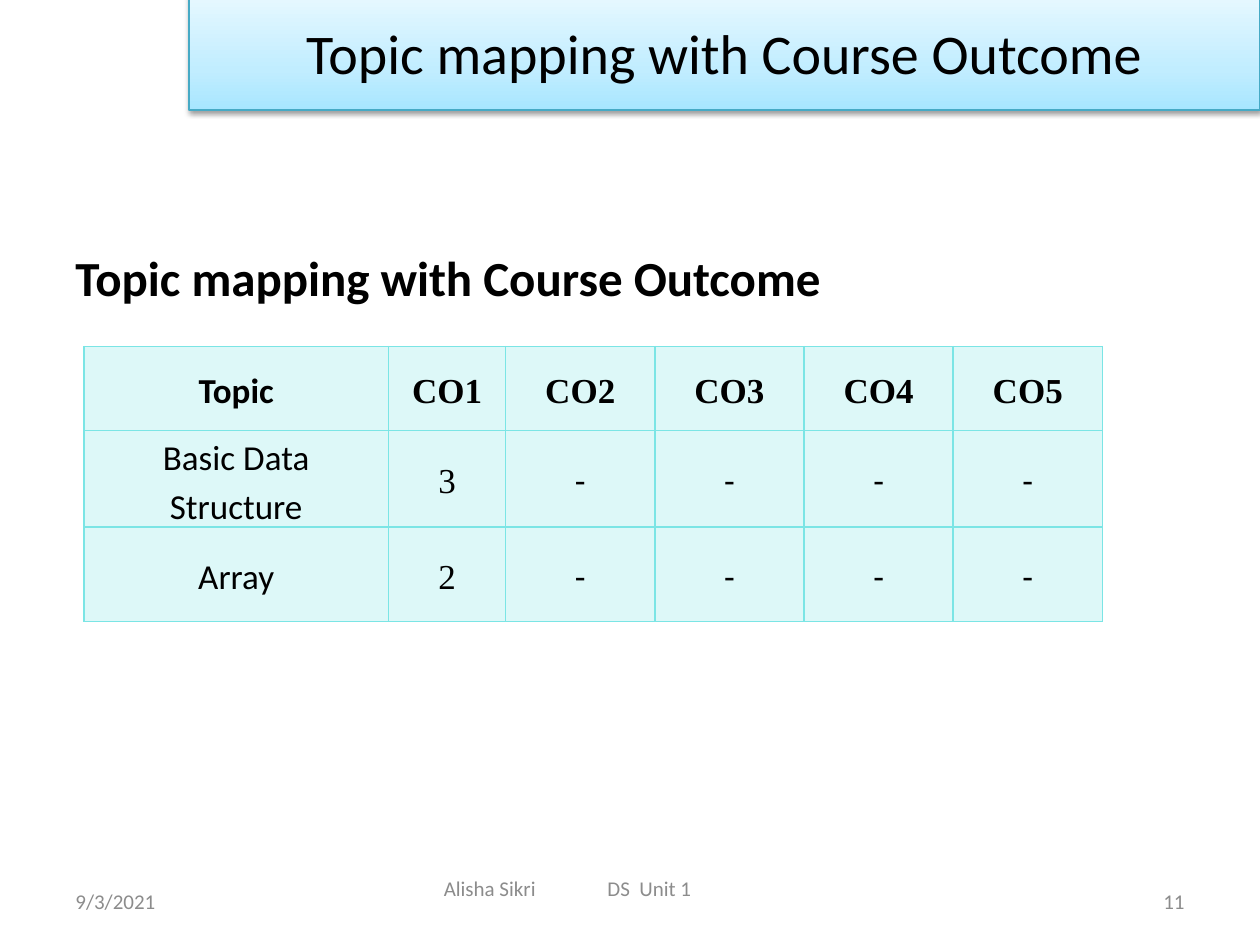
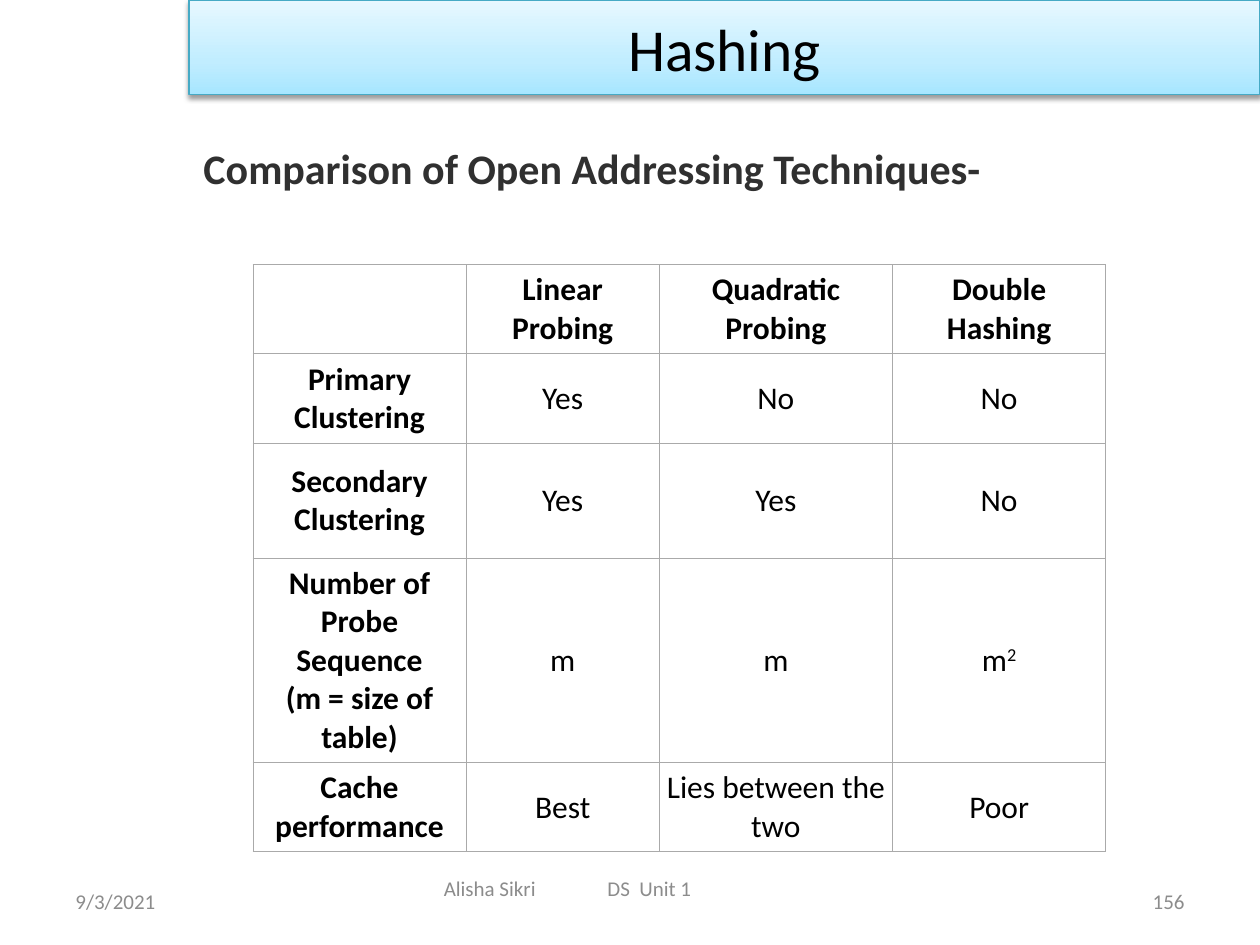
from dataclasses import dataclass
from typing import Callable

from lxml.etree import SubElement as Sub
from pptx import Presentation
from pptx.dml.color import RGBColor as Rgb
from pptx.enum.shapes import MSO_SHAPE as Kind
from pptx.enum.text import MSO_ANCHOR as Anchor, PP_ALIGN as Align
from pptx.oxml.ns import qn
from pptx.util import Pt


# Theme: colours, fonts and type sizes
@dataclass(frozen=True)
class Theme:
    ink: str = "000000"
    soft: str = "303030"
    grey: str = "8C8C8C"
    edge: str = "46AAC5"
    aqua: str = "7BE5E5"
    rule: str = "AAAAAA"
    white: str = "FFFFFF"
    fade: tuple = ((0, "A7E6FF"), (35, "C1EDFF"), (100, "E7F8FF"))
    sans: str = "Calibri"
    serif: str = "Times New Roman"
    small: float = 12
    body: float = 18
    cell: float = 20
    sub: float = 24
    head: float = 28
    title: float = 32
    large: float = 34


T = Theme()
Test = Callable[[int, int], bool]


@dataclass(frozen=True)
class Box:
    left: float
    top: float
    width: float
    height: float

    def pts(self) -> tuple:
        return Pt(self.left), Pt(self.top), Pt(self.width), Pt(self.height)


@dataclass(frozen=True)
class Type:
    size: float
    color: str = T.ink
    bold: bool = False
    face: str = T.sans
    align: Align = Align.CENTER


@dataclass(frozen=True)
class Grid:
    left: float
    top: float
    cols: list
    rows: list
    cells: list
    size: float
    line: str
    weight: float
    fill: str
    alpha: int
    pad: tuple  # side, top and bottom
    space: float
    after: float  # below each value
    bold: Test
    serif: Test


def style(para, look: Type) -> None:
    para.alignment = look.align
    font = para.font
    font.name, font.size, font.bold = look.face, Pt(look.size), look.bold
    font.color.rgb = Rgb.from_string(look.color)


def text(slide, box: Box, words: str, look: Type, tab: float = 0) -> None:
    frame = slide.shapes.add_textbox(*box.pts()).text_frame
    frame.word_wrap = True
    frame.vertical_anchor = Anchor.MIDDLE
    para = frame.paragraphs[0]
    para.text = words
    if tab:
        stops = Sub(para._p.get_or_add_pPr(), qn("a:tabLst"))
        Sub(stops, qn("a:tab"), pos=str(Pt(tab)), algn="l")
    style(para, look)


# Title band with gradient and soft shadow
def band(slide, top: float, height: float, words: str, size: float) -> None:
    shape = slide.shapes.add_shape(Kind.RECTANGLE, *Box(108, top, 612, height).pts())
    shape.fill.gradient()
    grad = shape._element.spPr.find(qn("a:gradFill"))
    for part in list(grad):
        grad.remove(part)
    stops = Sub(grad, qn("a:gsLst"))
    for at, color in T.fade:
        stop = Sub(stops, qn("a:gs"), pos=str(at * 1000))
        Sub(stop, qn("a:srgbClr"), val=color)
    Sub(grad, qn("a:lin"), ang="16200000", scaled="0")
    shape.line.color.rgb = Rgb.from_string(T.edge)
    shape.line.width = Pt(0.75)
    shape.shadow.inherit = False
    glow = Sub(shape._element.spPr.find(qn("a:effectLst")), qn("a:outerShdw"),
               blurRad=str(Pt(3.1)), dist=str(Pt(1.6)), dir="5400000", rotWithShape="0")
    shade = Sub(glow, qn("a:srgbClr"), val=T.ink)
    Sub(shade, qn("a:alpha"), val="38000")
    shape.text_frame.vertical_anchor = Anchor.MIDDLE
    para = shape.text_frame.paragraphs[0]
    para.text = words
    style(para, Type(size))


def footer(slide, page: int) -> None:
    left = Type(T.small, T.grey, align=Align.LEFT)
    text(slide, Box(36, 500.4, 168, 28.8), "9/3/2021", left)
    text(slide, Box(246.5, 493, 228, 28.8), "Alisha Sikri\tDS  Unit 1", left, tab=93.5)
    text(slide, Box(516, 500.4, 168, 28.8), str(page),
         Type(T.small, T.grey, align=Align.RIGHT))


# Tables: "^" raises what follows it, a line break starts a paragraph
def write(cell, words: str, look: Type, space: float, after: float) -> None:
    frame = cell.text_frame
    for i, line in enumerate(words.split("\n")):
        para = frame.add_paragraph() if i else frame.paragraphs[0]
        para.line_spacing = space
        para.space_after = Pt(after)
        base, _, power = line.partition("^")
        if base:
            para.add_run().text = base
        if power:
            run = para.add_run()
            run.text = power
            run._r.get_or_add_rPr().set("baseline", "30000")
        style(para, look)


def dress(cell, grid: Grid) -> None:
    side, ends = grid.pad
    cell.margin_left = cell.margin_right = Pt(side)
    cell.margin_top = cell.margin_bottom = Pt(ends)
    cell.vertical_anchor = Anchor.MIDDLE
    props = cell._tc.get_or_add_tcPr()
    for edge in ("lnL", "lnR", "lnT", "lnB"):
        line = Sub(props, qn(f"a:{edge}"), w=str(Pt(grid.weight)))
        Sub(Sub(line, qn("a:solidFill")), qn("a:srgbClr"), val=grid.line)
    cell.fill.solid()
    cell.fill.fore_color.rgb = Rgb.from_string(grid.fill)
    if grid.alpha < 100:
        color = props.find(qn("a:solidFill")).find(qn("a:srgbClr"))
        Sub(color, qn("a:alpha"), val=str(grid.alpha * 1000))


def table(slide, grid: Grid) -> None:
    box = Box(grid.left, grid.top, sum(grid.cols), sum(grid.rows))
    tab = slide.shapes.add_table(len(grid.rows), len(grid.cols), *box.pts()).table
    tab.first_row = tab.horz_banding = False
    for col, width in zip(tab.columns, grid.cols):
        col.width = Pt(width)
    for row, height in zip(tab.rows, grid.rows):
        row.height = Pt(height)
    for r, line in enumerate(grid.cells):
        for c, words in enumerate(line):
            cell = tab.cell(r, c)
            face = T.serif if grid.serif(r, c) else T.sans
            look = Type(grid.size, bold=grid.bold(r, c), face=face)
            write(cell, words, look, grid.space, grid.after if r and c else 0)
            dress(cell, grid)


# Table content
TOPICS = Grid(
    left=48, top=198, cols=[174, 67] + [85.25] * 4, rows=[48, 54, 54],
    cells=[
        ["Topic"] + [f"CO{n}" for n in range(1, 6)],
        ["Basic Data Structure", "3"] + ["-"] * 4,
        ["Array", "2"] + ["-"] * 4,
    ],
    size=T.cell, line=T.aqua, weight=1, fill=T.aqua, alpha=25,
    pad=(5, 0), space=1.15, after=10,
    bold=lambda r, c: r == 0,
    serif=lambda r, c: c == 1 or (r == 0 and c > 0),
)

PROBES = Grid(
    left=144.6, top=151.2, cols=[121.7, 110.5, 133.2, 122], rows=[51, 51, 66, 116.6, 51],
    cells=[
        ["", "Linear Probing", "Quadratic Probing", "Double Hashing"],
        ["Primary Clustering", "Yes", "No", "No"],
        ["Secondary Clustering", "Yes", "Yes", "No"],
        ["Number of Probe Sequence\n(m = size of table)", "m", "m", "m^2"],
        ["Cache performance", "Best", "Lies between the two", "Poor"],
    ],
    size=T.body, line=T.rule, weight=0.5, fill=T.white, alpha=100,
    pad=(3.6, 3), space=1, after=0,
    bold=lambda r, c: r == 0 or c == 0,
    serif=lambda r, c: False,
)


def main() -> None:
    deck = Presentation()
    deck.slide_width, deck.slide_height = Pt(720), Pt(540)
    blank = deck.slide_layouts[6]

    # Topic mapping
    slide = deck.slides.add_slide(blank)
    name = "Topic mapping with Course Outcome"
    band(slide, -3, 66, name, T.title)
    text(slide, Box(36, 137, 648, 42), name, Type(T.head, bold=True, align=Align.LEFT))
    table(slide, TOPICS)
    footer(slide, 11)

    # Hashing
    slide = deck.slides.add_slide(blank)
    band(slide, 0, 54, "Hashing", T.large)
    text(slide, Box(14.4, 78, 648, 36), "Comparison of Open Addressing Techniques-",
         Type(T.sub, T.soft, bold=True))
    table(slide, PROBES)
    footer(slide, 156)

    deck.save("out.pptx")


if __name__ == "__main__":
    main()
